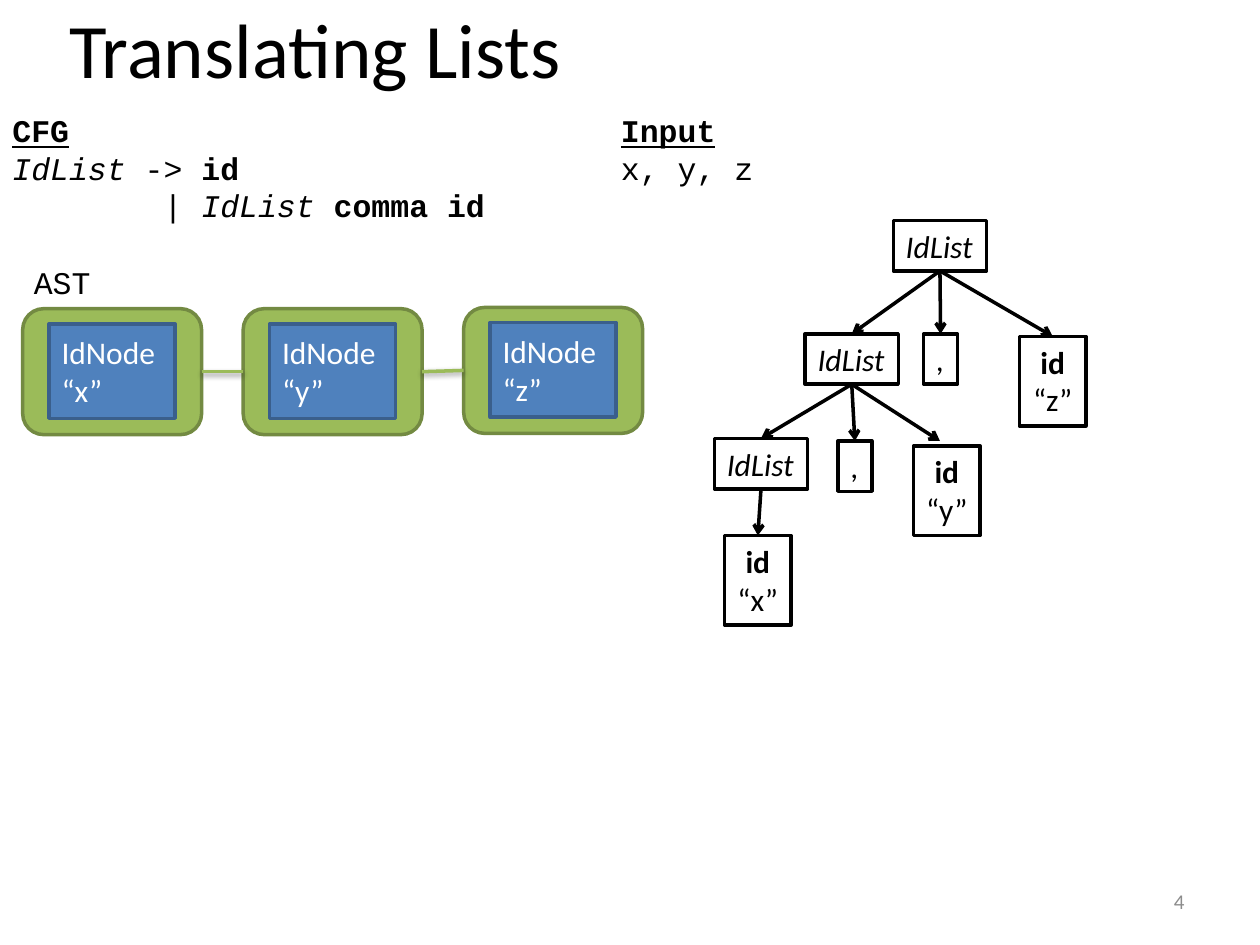
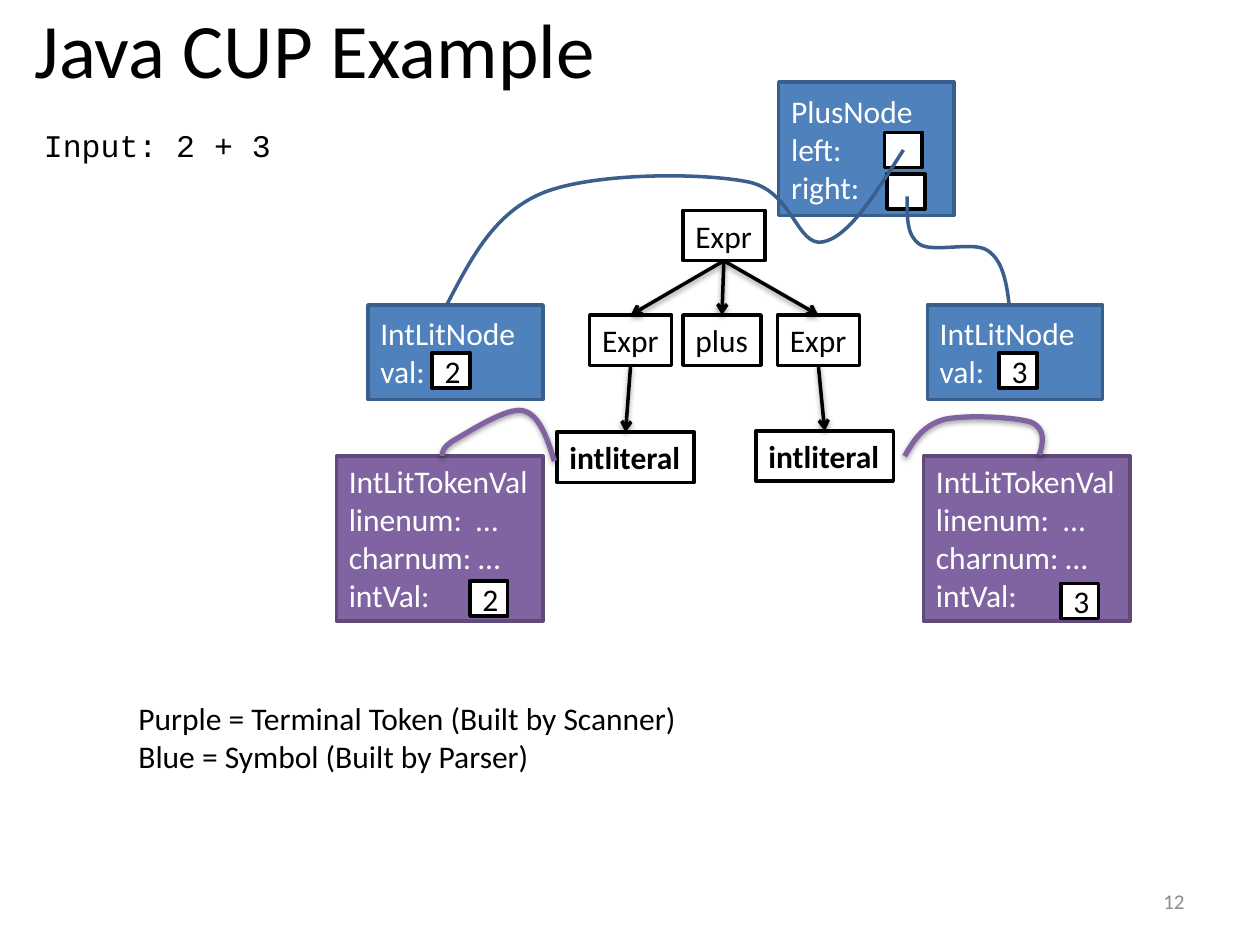
from lxml import etree
from pptx import Presentation
from pptx.dml.color import RGBColor
from pptx.enum.shapes import MSO_CONNECTOR, MSO_SHAPE
from pptx.enum.text import MSO_ANCHOR, MSO_AUTO_SIZE, PP_ALIGN
from pptx.oxml.ns import qn
from pptx.util import Inches, Pt

RECT, ROUND = MSO_SHAPE.RECTANGLE, MSO_SHAPE.ROUNDED_RECTANGLE
STRAIGHT = MSO_CONNECTOR.STRAIGHT
TOP, MIDDLE = MSO_ANCHOR.TOP, MSO_ANCHOR.MIDDLE
LEFT, CENTER, RIGHT = PP_ALIGN.LEFT, PP_ALIGN.CENTER, PP_ALIGN.RIGHT
FIT, FIXED = MSO_AUTO_SIZE.SHAPE_TO_FIT_TEXT, MSO_AUTO_SIZE.NONE
SANS, MONO = "Calibri", "Courier New"
BLACK, WHITE, GRAY = "000000", "FFFFFF", "8C8C8C"
GREEN, MOSS = "9BBB59", "738A42"
BLUE, NAVY = "4F81BD", "3A5F8C"
PURPLE, PLUM = "8064A2", "5F4A78"
rgb = RGBColor.from_string


def box(slide, at, lines, fill=None, edge=BLACK, ink=BLACK, kind=RECT,
        face=SANS, size=18, align=LEFT, anchor=TOP):
    """Add a text box, or a shape if there is a fill.

    A line is a string or a list of (text, style) runs; style holds b, i, u.
    """
    place = [Inches(v) for v in at]
    if fill:
        shape = slide.shapes.add_shape(kind, *place)
        shape.shadow.inherit = False
        shape.fill.solid()
        shape.fill.fore_color.rgb = rgb(fill)
        shape.line.color.rgb = rgb(edge)
        shape.line.width = Pt(2)
    else:
        shape = slide.shapes.add_textbox(*place)
    frame = shape.text_frame
    frame.vertical_anchor = anchor
    frame.word_wrap = anchor == MIDDLE
    frame.auto_size = FIXED if anchor == MIDDLE else FIT
    for n, line in enumerate(lines):
        para = frame.add_paragraph() if n else frame.paragraphs[0]
        para.alignment = align
        for text, style in [(line, "")] if isinstance(line, str) else line:
            run = para.add_run()
            run.text = text
            font = run.font
            font.name, font.size = face, Pt(size)
            font.color.rgb = rgb(ink)
            font.bold, font.italic = "b" in style, "i" in style
            font.underline = "u" in style
    return shape


def stroke(shape, color, width, arrow=False, shadow=False):
    """Style a connector or a curve."""
    shape.line.color.rgb = rgb(color)
    shape.line.width = Pt(width)
    props = shape.element.spPr
    if arrow:
        etree.SubElement(props.find(qn("a:ln")), qn("a:tailEnd"), type="arrow")
    effects = etree.SubElement(props, qn("a:effectLst"))
    if shadow:
        cast = etree.SubElement(effects, qn("a:outerShdw"), blurRad="40000",
                                dist="20000", dir="5400000", rotWithShape="0")
        tone = etree.SubElement(cast, qn("a:srgbClr"), val=BLACK)
        etree.SubElement(tone, qn("a:alpha"), val="38000")


deck = Presentation()
deck.slide_width, deck.slide_height = Inches(10), Inches(7.5)
pages = []
for title, number in (("Translating Lists", "4"), ("Java CUP Example", "12")):
    page = deck.slides.add_slide(deck.slide_layouts[6])
    box(page, (-2, -0.25, 9, 1.25), [title], size=44, align=CENTER, anchor=MIDDLE)
    box(page, (7.17, 6.95, 2.33, 0.4), [number], ink=GRAY, size=12,
        align=RIGHT, anchor=MIDDLE)
    pages.append(page)
lists, cup = pages
joins = []  # slide, from, side, to, side, color, arrow, shadow

# Translating Lists: grammar and input
rules = box(lists, (0, 0.83, 3.97, 1.01), [
    [("CFG", "bu")],
    [("IdList", "i"), (" -> ", ""), ("id", "b")],
    [("| ", ""), ("IdList ", "i"), ("comma id", "b")],
], face=MONO)
rules.text_frame.paragraphs[2]._p.get_or_add_pPr().set("marL", str(Inches(1.2)))
box(lists, (4.83, 0.83, 1.26, 0.71), [[("Input", "bu")], "x, y, z"], face=MONO)
box(lists, (0.17, 2.04, 0.65, 0.4), ["AST"], face=MONO)

# Chain of syntax nodes
chain = []
for n, (name, top) in enumerate((("x", 2.45), ("y", 2.45), ("z", 2.44))):
    left = 0.18 + 1.75 * n
    chain.append(box(lists, (left, top, 1.42, 1), [], GREEN, MOSS, kind=ROUND))
    box(lists, (left + 0.21, top + 0.12, 1, 0.75), ["IdNode", f"“{name}”"],
        BLUE, NAVY, WHITE, anchor=MIDDLE)
for a, b in zip(chain, chain[1:]):
    joins.append((lists, a, 3, b, 1, GREEN, False, True))

# Parse tree of the list
root, mid, low = [box(lists, (x, y, 0.74, 0.4), [[("IdList", "i")]], WHITE)
                  for x, y in ((7.09, 1.75), (6.39, 2.65), (5.67, 3.48))]
commas = [box(lists, (x, y, 0.27, 0.4), [","], WHITE)
          for x, y in ((7.33, 2.65), (6.65, 3.5))]
idx, idy, idz = [box(lists, (x, y, 0.53, 0.71), [[("id", "b")], f"“{name}”"],
                     WHITE, align=CENTER)
                 for name, x, y in (("x", 5.75, 4.25), ("y", 7.25, 3.54),
                                    ("z", 8.09, 2.67))]
for a, b in ((root, mid), (root, commas[0]), (root, idz),
             (mid, low), (mid, commas[1]), (low, idx)):
    joins.append((lists, a, 2, b, 0, BLACK, True, False))
loose = lists.shapes.add_connector(STRAIGHT, 0, 0, Inches(7.46), Inches(3.5))
loose.begin_connect(mid, 2)
stroke(loose, BLACK, 2, arrow=True)

# Java CUP Example: parse tree of the sum
box(cup, (0.25, 0.95, 2.02, 0.4), ["Input: 2 + 3"], face=MONO)
total, first, plus, last = [
    box(cup, (x, y, w, 0.4), [name], WHITE)
    for name, x, y, w in (("Expr", 5.42, 1.67, 0.65), ("Expr", 4.68, 2.5, 0.65),
                          ("plus", 5.42, 2.5, 0.62), ("Expr", 6.17, 2.5, 0.65))]
leaves = [box(cup, (x, y, 1.09, 0.4), [[("intliteral", "b")]], WHITE)
          for x, y in ((4.42, 3.43), (6, 3.42))]
for a, b in ((total, first), (total, plus), (total, last),
             (first, leaves[0]), (last, leaves[1])):
    joins.append((cup, a, 2, b, 0, BLACK, True, True))

# Tokens and nodes
for x in (2.67, 7.33):
    box(cup, (x, 3.62, 1.64, 1.31),
        ["IntLitTokenVal", "linenum:  …", "charnum: …", "intVal:"],
        PURPLE, PLUM, WHITE)
for x, y, high, lines in ((2.92, 2.42, 0.75, ["IntLitNode", "val:"]),
                          (7.36, 2.42, 0.75, ["IntLitNode", "val:"]),
                          (6.18, 0.65, 1.06, ["PlusNode", "left:", "right:"])):
    box(cup, (x, y, 1.39, high), lines, BLUE, NAVY, WHITE, anchor=MIDDLE)
for x, y, lines in ((7.02, 1.05, []), (7.04, 1.38, []),
                    (3.43, 2.8, ["2"]), (7.93, 2.8, ["3"]),
                    (3.73, 4.61, ["2"]), (8.42, 4.63, ["3"])):
    box(cup, (x, y, 0.3, 0.28), lines, WHITE, align=CENTER, anchor=MIDDLE)

# Curved pointers: a start, then three points for each Bézier piece
curves = [
    (PURPLE, 3, True, [(4.4, 3.66), (4.34, 3.47), (4.28, 3.29), (4.15, 3.26),
                       (4.02, 3.23), (3.72, 3.43), (3.61, 3.49),
                       (3.51, 3.55), (3.51, 3.59), (3.51, 3.62)]),
    (PURPLE, 3, True, [(7.18, 3.62), (7.25, 3.5), (7.32, 3.38), (7.49, 3.33),
                       (7.66, 3.29), (8.05, 3.31), (8.18, 3.35),
                       (8.3, 3.4), (8.28, 3.51), (8.25, 3.61)]),
    (NAVY, 2, False, [(7.17, 1.19), (6.95, 1.53), (6.74, 1.88), (6.53, 1.92),
                      (6.32, 1.96), (6.29, 1.5), (5.92, 1.44),
                      (5.55, 1.37), (4.71, 1.37), (4.31, 1.53),
                      (3.92, 1.69), (3.74, 2.05), (3.55, 2.41)]),
    (NAVY, 2, False, [(7.2, 1.56), (7.2, 1.71), (7.19, 1.87), (7.3, 1.94),
                      (7.41, 2.01), (7.73, 1.91), (7.84, 1.99),
                      (7.96, 2.07), (7.99, 2.25), (8.01, 2.43)]),
]
for color, width, shadow, points in curves:
    start, *rest = [(Inches(x), Inches(y)) for x, y in points]
    pen = cup.shapes.build_freeform(*start)
    pen.add_line_segments(rest, close=False)
    curve = pen.convert_to_shape()
    steps = list(curve.element.iter(qn("a:lnTo")))
    for n in range(0, len(steps), 3):
        bend = etree.Element(qn("a:cubicBezTo"))
        steps[n].addprevious(bend)
        for step in steps[n:n + 3]:
            bend.append(step[0])
            step.getparent().remove(step)
    curve.fill.background()
    stroke(curve, color, width, shadow=shadow)

box(cup, (1, 5.5, 4.52, 0.71), ["Purple = Terminal Token (Built by Scanner)",
                                "Blue = Symbol (Built by Parser)"])

for page, a, out, b, into, color, arrow, shadow in joins:
    link = page.shapes.add_connector(STRAIGHT, 0, 0, 0, 0)
    link.begin_connect(a, out)
    link.end_connect(b, into)
    stroke(link, color, 2, arrow, shadow)

deck.save("out.pptx")
